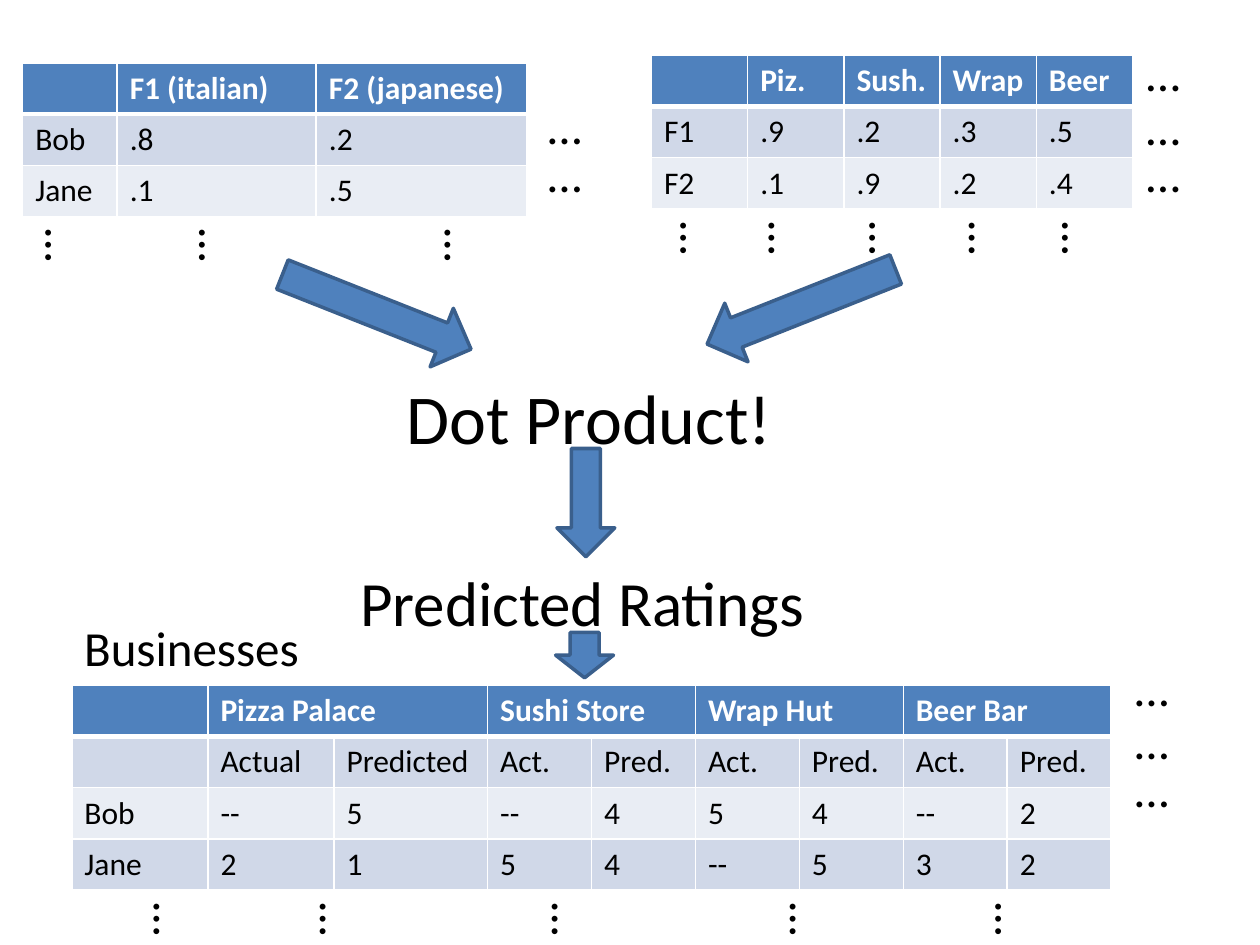
from collections import namedtuple

from lxml.etree import SubElement
from pptx import Presentation
from pptx.dml.color import RGBColor
from pptx.enum.shapes import MSO_SHAPE as Preset
from pptx.enum.text import MSO_AUTO_SIZE as AutoSize
from pptx.oxml.ns import qn
from pptx.util import Inches, Pt

WHITE = RGBColor(0xFF, 0xFF, 0xFF)
BLACK = RGBColor(0x00, 0x00, 0x00)
BLUE = RGBColor(0x4F, 0x81, 0xBD)
DARK_BLUE = RGBColor(0x3A, 0x5F, 0x8C)
BANDS = (RGBColor(0xD0, 0xD8, 0xE8), RGBColor(0xE9, 0xED, 0xF4))

SLIDE_WIDTH, SLIDE_HEIGHT = Inches(10), Inches(7.5)
GRID_COLUMNS, GRID_ROWS = 100, 75
TABLE_ROW = 4.06
Box = namedtuple("Box", "left top width height")

BODY = {"name": "Calibri", "size": Pt(18), "bold": False}
HEADER = {**BODY, "bold": True}


def across(columns):
    """Turn grid columns into a length."""
    return round(SLIDE_WIDTH * columns / GRID_COLUMNS)


def down(rows):
    """Turn grid rows into a length."""
    return round(SLIDE_HEIGHT * rows / GRID_ROWS)


def place(box):
    """Turn a grid box into left, top, width and height."""
    return across(box.left), down(box.top), across(box.width), down(box.height)


def write(frame, text, style, color):
    """Write one styled span into a text frame."""
    span = frame.paragraphs[0].add_run()
    span.text = text
    for name, value in style.items():
        setattr(span.font, name, value)
    span.font.color.rgb = color


def add_label(page, box, text, size=28, vertical=False):
    """Add a line of text that fits its box."""
    label = page.shapes.add_textbox(*place(box))
    for name, value in {"word_wrap": False, "auto_size": AutoSize.SHAPE_TO_FIT_TEXT}.items():
        setattr(label.text_frame, name, value)
    if vertical:
        label._element.txBody.bodyPr.set("vert", "vert")
    write(label.text_frame, text, {**BODY, "size": Pt(size)}, BLACK)


def add_arrow(page, box, rotation=0):
    """Add a blue block arrow."""
    arrow = page.shapes.add_shape(Preset.DOWN_ARROW, *place(box))
    arrow.shadow.inherit = False
    arrow.rotation = rotation
    arrow.fill.solid()
    arrow.fill.fore_color.rgb = BLUE
    arrow.line.color.rgb = DARK_BLUE
    arrow.line.width = Pt(2)


def set_borders(cell, row):
    """Draw white cell borders, thick below the header."""
    widths = {"L": 1, "R": 1, "T": 3 if row == 1 else 1, "B": 3 if row == 0 else 1}
    for side, width in widths.items():
        line = SubElement(cell._tc.get_or_add_tcPr(), qn(f"a:ln{side}"), w=str(Pt(width)))
        SubElement(SubElement(line, qn("a:solidFill")), qn("a:srgbClr"), val=str(WHITE))


def add_ratings(page, left, top, widths, rows, merge_pairs=False):
    """Add a banded table and return its box."""
    box = Box(left, top, sum(widths), TABLE_ROW * len(rows))
    table = page.shapes.add_table(len(rows), len(widths), *place(box)).table
    for column, width in zip(table.columns, widths):
        column.width = across(width)
    for r, texts in enumerate(rows):
        table.rows[r].height = down(TABLE_ROW)
        for c, text in enumerate(texts):
            cell = table.cell(r, c)
            set_borders(cell, r)
            cell.fill.solid()
            cell.fill.fore_color.rgb = BANDS[(r - 1) % 2] if r else BLUE
            if text:
                write(cell.text_frame, text, BODY if r else HEADER, BLACK if r else WHITE)
    if merge_pairs:
        for c in range(1, len(widths), 2):
            table.cell(0, c).merge(table.cell(0, c + 1))
    return box


def add_ellipses(page, box, gap, row_offsets, column_offsets):
    """Mark the rows and columns that go on past a table."""
    for offset in row_offsets:
        add_label(page, Box(box.left + box.width + gap, box.top + offset, 4.7, 5.7), "…")
    for offset in column_offsets:
        add_label(page, Box(box.left + offset, box.top + box.height, 6.7, 3.7), "…", vertical=True)


def add_user_factors(page, left, top):
    """Add the table of users by factor."""
    rows = [["", "F1 (italian)", "F2 (japanese)"], ["Bob", ".8", ".2"], ["Jane", ".1", ".5"]]
    box = add_ratings(page, left, top, [7.5, 15.8, 16.7], rows)
    add_ellipses(page, box, 0.7, [2.1, 5.9], [-0.5, 11.7, 31.2])


def add_dish_factors(page, left, top):
    """Add the table of factors by dish."""
    rows = [
        ["", "Piz.", "Sush.", "Wrap", "Beer"],
        ["F1", ".9", ".2", ".3", ".5"],
        ["F2", ".1", ".9", ".2", ".4"],
    ]
    box = add_ratings(page, left, top, [7.64] * 5, rows)
    add_ellipses(page, box, 0.1, [-1.5, 2.8, 6.5], [0, 7, 15, 22.9, 30.3])


def add_predictions(page, left, top):
    """Add the table of actual and predicted ratings."""
    names = ["Pizza Palace", "Sushi Store", "Wrap Hut", "Beer Bar"]
    rows = [
        [""] + [text for name in names for text in (name, "")],
        ["", "Actual", "Predicted"] + ["Act.", "Pred."] * 3,
        ["Bob", "--", "5", "--", "4", "5", "4", "--", "2"],
        ["Jane", "2", "1", "5", "4", "--", "5", "3", "2"],
    ]
    box = add_ratings(page, left, top, [10.8, 10, 12.2] + [8.25] * 6, rows, merge_pairs=True)
    add_label(page, Box(left, top - 5.9, 19.3, 5.7), "Businesses")
    add_ellipses(page, box, 0.9, [-2.7, 1.5, 5.3], [4.2, 17.4, 35.8, 54.7, 71])


def add_flow(page, left, top):
    """Add the steps and arrows from factors to ratings."""
    add_arrow(page, Box(left, top, 5, 16.1), 291.6)
    add_label(page, Box(left + 3.9, top + 12.5, 31.3, 7.7), "Dot Product!", 40)
    add_arrow(page, Box(left + 16.8, top + 18.9, 4.6, 8.6))
    add_label(page, Box(left + 0.2, top + 27.5, 37.6, 7.1), "Predicted Ratings", 36)
    add_arrow(page, Box(left + 33.7, top - 0.4, 5, 16.1), 68.4)
    add_arrow(page, Box(left + 16.7, top + 33.5, 4.6, 3.6))


def main():
    """Build the slide and save the deck."""
    deck = Presentation()
    deck.slide_width, deck.slide_height = SLIDE_WIDTH, SLIDE_HEIGHT
    page = deck.slides.add_slide(deck.slide_layouts[6])
    add_user_factors(page, 1.8, 5)
    add_dish_factors(page, 51.7, 4.4)
    add_predictions(page, 5.7, 54.4)
    add_flow(page, 27.4, 16.7)
    deck.save("out.pptx")


if __name__ == "__main__":
    main()
